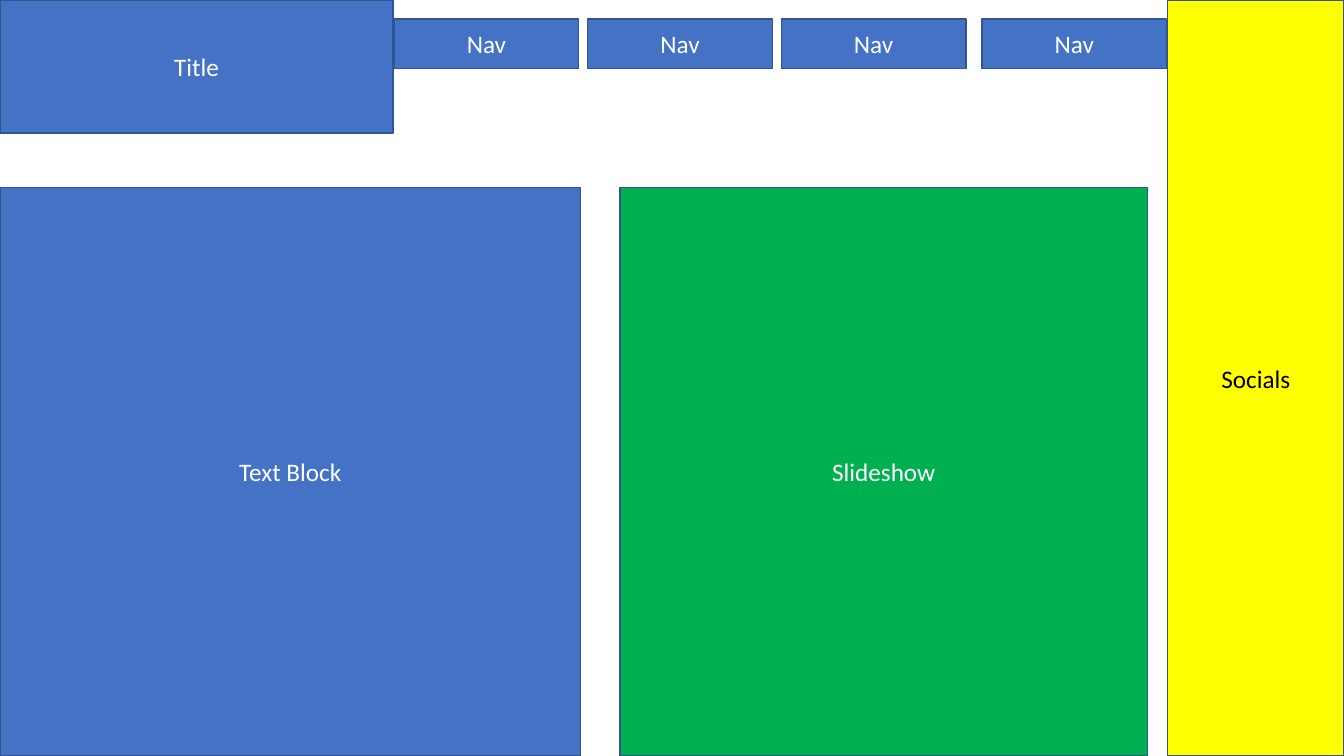
from pptx import Presentation
from pptx.dml.color import RGBColor
from pptx.enum.shapes import MSO_SHAPE
from pptx.enum.text import MSO_ANCHOR, PP_ALIGN
from pptx.util import Inches, Pt

BLUE = RGBColor(0x44, 0x72, 0xC4)
EDGE = RGBColor(0x32, 0x54, 0x91)
GREEN = RGBColor(0x00, 0xB0, 0x50)
YELLOW = RGBColor(0xFF, 0xFF, 0x00)
WHITE = RGBColor(0xFF, 0xFF, 0xFF)
BLACK = RGBColor(0x00, 0x00, 0x00)

WIDTH, HEIGHT = 13.33, 7.5
BODY_TOP = 1.86
BODY_HEIGHT = HEIGHT - BODY_TOP
SOCIALS_WIDTH = 1.75
NAV_LEFTS = (3.91, 5.83, 7.75, 9.74)


def add_block(slide, label, left, top, width, height, fill=BLUE, color=WHITE):
    block = slide.shapes.add_shape(
        MSO_SHAPE.RECTANGLE,
        Inches(left), Inches(top), Inches(width), Inches(height))
    block.shadow.inherit = False
    block.fill.solid()
    block.fill.fore_color.rgb = fill
    block.line.color.rgb = EDGE
    block.line.width = Pt(1)

    frame = block.text_frame
    frame.text = label
    frame.vertical_anchor = MSO_ANCHOR.MIDDLE
    para = frame.paragraphs[0]
    para.alignment = PP_ALIGN.CENTER
    font = para.runs[0].font
    font.name = "Calibri"
    font.size = Pt(18)
    font.color.rgb = color


def main():
    deck = Presentation()
    deck.slide_width = Inches(WIDTH)
    deck.slide_height = Inches(HEIGHT)
    slide = deck.slides.add_slide(deck.slide_layouts[6])

    add_block(slide, "Title", 0, 0, 3.9, 1.32)
    add_block(slide, "Socials", WIDTH - SOCIALS_WIDTH, 0, SOCIALS_WIDTH,
              HEIGHT, YELLOW, BLACK)
    add_block(slide, "Slideshow", 6.15, BODY_TOP, 5.23, BODY_HEIGHT, GREEN)
    add_block(slide, "Text Block", 0, BODY_TOP, 5.76, BODY_HEIGHT)
    for left in NAV_LEFTS:
        add_block(slide, "Nav", left, 0.19, 1.83, 0.49)

    deck.save("out.pptx")


if __name__ == "__main__":
    main()
